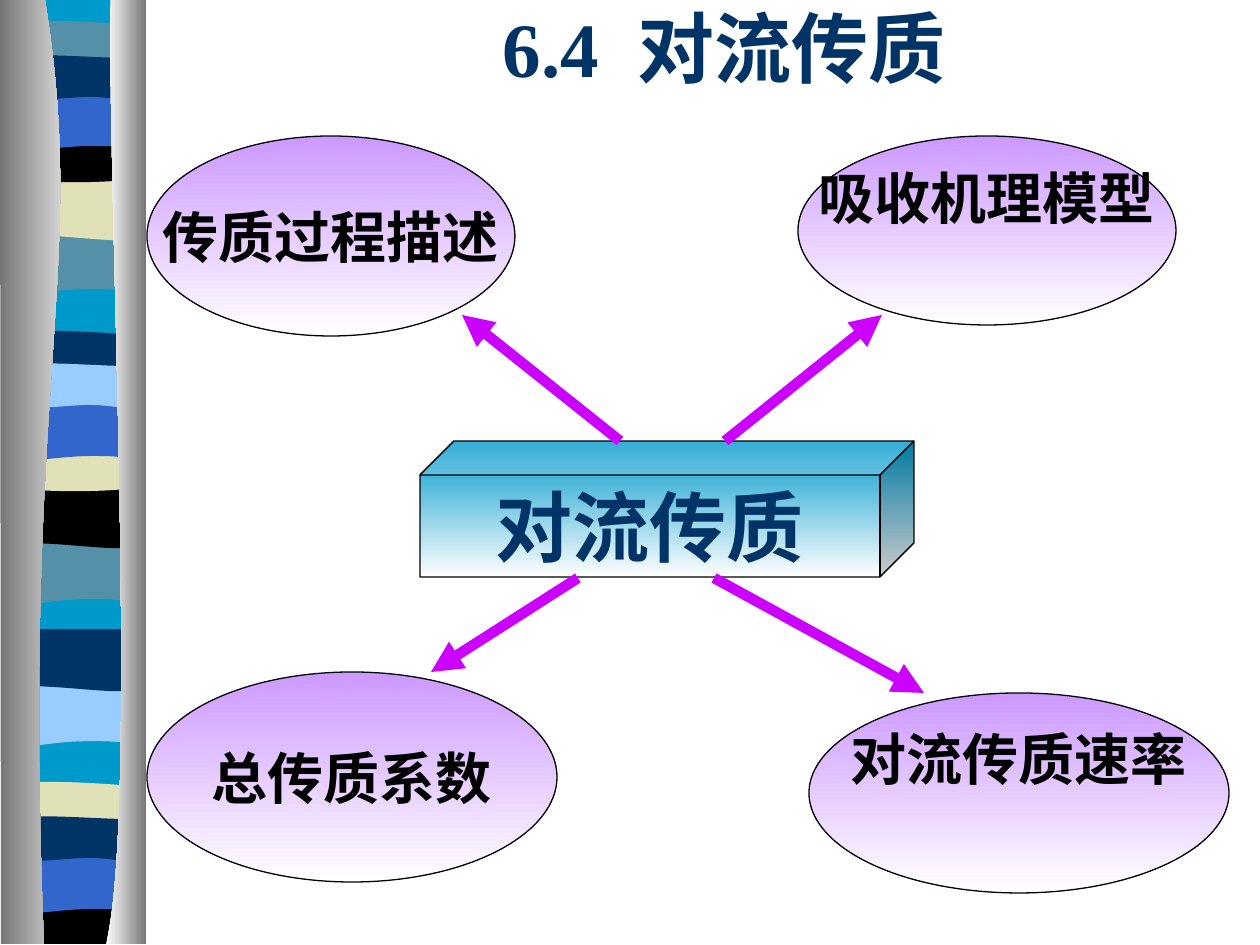
from lxml.etree import SubElement
from pptx import Presentation
from pptx.dml.color import RGBColor
from pptx.enum.shapes import MSO_CONNECTOR as CONNECTOR, MSO_SHAPE as SHAPE
from pptx.enum.text import MSO_ANCHOR as ANCHOR, MSO_AUTO_SIZE as AUTO_SIZE, PP_ALIGN as ALIGN
from pptx.oxml.ns import qn
from pptx.util import Pt

PX = 7257.14
BAND_LEFT = 7

HEADING = {"size": Pt(44), "name": "Times New Roman", "bold": True, "color": "003366"}
TOPIC = {**HEADING, "size": Pt(32), "color": "000000"}
TOP = {"vertical_anchor": ANCHOR.TOP, "margin_top": 0}

OUTLINES = {
    "base": [(136, 0), (136, 941), (0, 941), (0, 0)],
    "swell": [(136, 0), (136, 59), (42, 49, 23, 69, 0, 59), (0, 0)],
    "dip": [(136, 0), (136, 59), (113, 69, 42, 52, 0, 59), (0, 0)],
    "lens": [(136, 6), (136, 37), (113, 42, 23, 42, 0, 37), (0, 6),
             (8, 0, 29, 1, 52, 1), (74, 1, 118, 4, 136, 6)],
    "pad": [(136, 0), (136, 41), (113, 48, 23, 48, 0, 41), (0, 0), (83, 6, 107, 0, 136, 0)],
    "arch": [(136, 0), (136, 59), (115, 53, 106, 53, 83, 53), (60, 53, 20, 59, 0, 59), (0, 0)],
    "ribbon": [(136, 6), (136, 45), (127, 52, 106, 45, 83, 45), (60, 45, 14, 52, 0, 45),
               (0, 6), (19, 0, 92, 6, 115, 6), (138, 6, 132, 6, 136, 6)],
    "foot": [(136, 0), (136, 47), (0, 47), (0, 0), (83, 6, 107, 0, 136, 0)],
}
BANDS = [
    ("base", 0, "0099CC"), ("swell", 233, "5490A8"), ("dip", 178, "E1E1B7"),
    ("lens", 20, "5490A8"), ("pad", 136, "000000"), ("arch", 93, "3366CC"),
    ("ribbon", 52, "003366"), ("swell", 543, "5490A8"), ("dip", 486, "000000"),
    ("lens", 330, "003366"), ("pad", 445, "E1E1B7"), ("arch", 403, "3366CC"),
    ("ribbon", 360, "99CCFF"), ("swell", 685, "99CCFF"), ("dip", 629, "003366"),
    ("lens", 781, "E1E1B7"), ("foot", 897, "000000"), ("arch", 856, "3366CC"),
    ("ribbon", 813, "003366"),
]
CURTAINS = [
    ([(45, 0), (89, 272, 21, 373, 44, 944), (1, 944), (0, 0)], ("767676", "FFFFFF")),
    ([(111, 0), (106, 157, 140, 814, 106, 944), (146, 944), (146, 0)], ("FFFFFF", "767676")),
]
TOPICS = [
    ("传质过程描述", (147, 136, 368, 200), {}, {}),
    ("吸收机理模型", (798, 136, 378, 189), {}, TOP),
    ("对流传质速率", (809, 693, 420, 200), {}, {**TOP, "margin_top": Pt(1.5)}),
    ("总传质系数", (147, 672, 410, 210), {"name": "Arial"}, {}),
]
ARROWS = [(620, 441, 462, 315), (725, 441, 882, 315), (578, 578, 431, 672), (714, 578, 924, 693)]


def px(*lengths):
    """Convert px lengths to EMU."""
    return [round(length * PX) for length in lengths]


def rgb(color):
    """Return the colour for a hex string."""
    return RGBColor.from_string(color)


def set_gradient(fill, colors, angle):
    """Fill with an even two-colour gradient."""
    fill.gradient()
    fill.gradient_angle = angle
    for stop, color in zip(fill.gradient_stops, colors):
        stop.color.rgb = rgb(color)


def add_outline(slide, outline, left=0, top=0):
    """Add a borderless freeform of corners (pairs) and Bezier curves (sextuples)."""
    points = [px(segment[i] + left, segment[i + 1] + top)
              for segment in outline for i in range(0, len(segment), 2)]
    builder = slide.shapes.build_freeform(*points[0])
    builder.add_line_segments(points[1:], close=True)
    shape = builder.convert_to_shape()
    lines = iter(list(shape._element.iter(qn("a:lnTo"))))
    for segment in outline[1:]:
        line = next(lines)
        if len(segment) == 6:
            line.tag = qn("a:cubicBezTo")
            for _ in range(2):
                extra = next(lines)
                line.append(extra[0])
                extra.getparent().remove(extra)
    shape.shadow.inherit = False
    shape.line.fill.background()
    return shape


def set_text(shape, text, style, frame_format):
    """Write one centred, styled paragraph into a shape."""
    frame = shape.text_frame
    for name, value in {"vertical_anchor": ANCHOR.MIDDLE, **frame_format}.items():
        setattr(frame, name, value)
    paragraph = frame.paragraphs[0]
    paragraph.alignment = ALIGN.CENTER
    run = paragraph.add_run()
    run.text = text
    for name, value in style.items():
        if name == "color":
            run.font.color.rgb = rgb(value)
        else:
            setattr(run.font, name, value)


def add_node(slide, kind, box, color, text, style, frame_format):
    """Add an outlined gradient shape with a label."""
    shape = slide.shapes.add_shape(kind, *px(*box))
    shape.shadow.inherit = False
    set_gradient(shape.fill, (color, "FFFFFF"), 270)
    shape.line.color.rgb = rgb("000000")
    shape.line.width = Pt(0.75)
    set_text(shape, text, style, {"word_wrap": False, **frame_format})


def add_arrow(slide, ends):
    """Add a thick connector with a triangular head at its end."""
    arrow = slide.shapes.add_connector(CONNECTOR.STRAIGHT, *px(*ends))
    arrow.line.color.rgb = rgb("CC00FF")
    arrow.line.width = Pt(6)
    properties = arrow._element.spPr
    SubElement(properties.find(qn("a:ln")), qn("a:tailEnd"), type="triangle")
    SubElement(properties, qn("a:effectLst"))


def add_border(slide):
    """Add the striped border between its two curtains."""
    for kind, top, color in BANDS:
        band = add_outline(slide, OUTLINES[kind], BAND_LEFT, top)
        band.fill.solid()
        band.fill.fore_color.rgb = rgb(color)
    for outline, colors in CURTAINS:
        set_gradient(add_outline(slide, outline).fill, colors, 0)


def set_title(slide, text, box):
    """Place and write the title placeholder."""
    title = slide.shapes.title
    for name, value in zip(("left", "top", "width", "height"), px(*box)):
        setattr(title, name, value)
    set_text(title, text, HEADING, {"auto_size": AUTO_SIZE.NONE, "word_wrap": True})


def main():
    """Build and save the slide."""
    presentation = Presentation()
    presentation.slide_width, presentation.slide_height = px(1260, 945)
    slide = presentation.slides.add_slide(presentation.slide_layouts[5])
    add_border(slide)
    set_title(slide, "6.4  对流传质", (189, 0, 1071, 94))
    add_node(slide, SHAPE.CUBE, (420, 441, 494, 136), "0099CC", "对流传质", HEADING, {})
    for text, box, style, frame_format in TOPICS:
        add_node(slide, SHAPE.OVAL, box, "CC99FF", text, {**TOPIC, **style}, frame_format)
    for ends in ARROWS:
        add_arrow(slide, ends)
    presentation.save("out.pptx")


if __name__ == "__main__":
    main()
